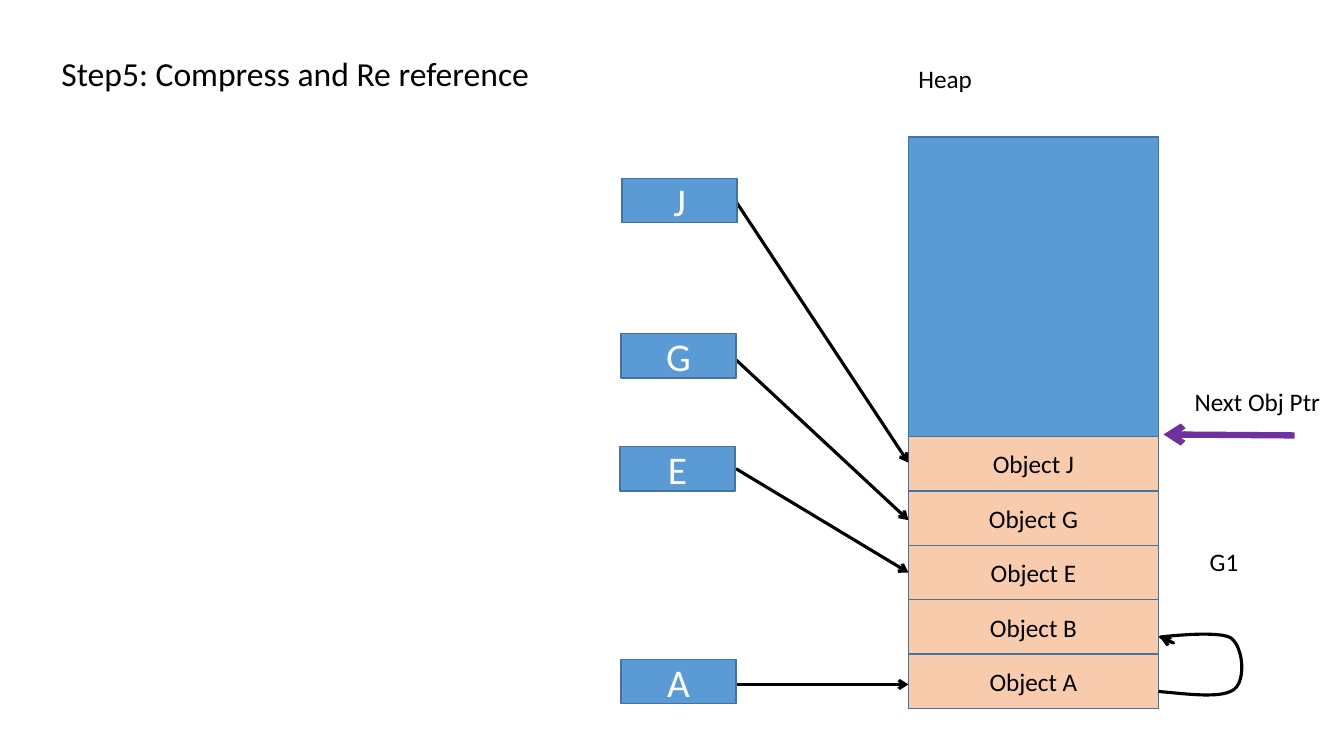
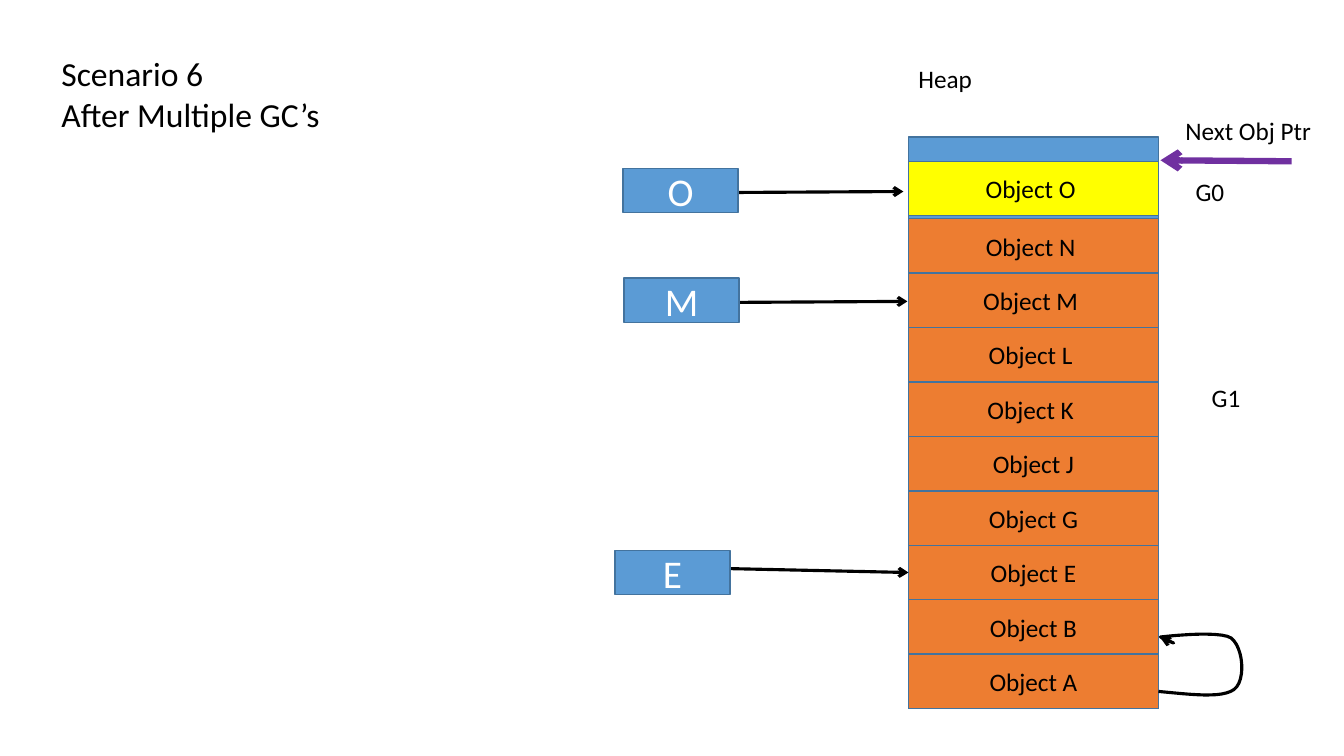
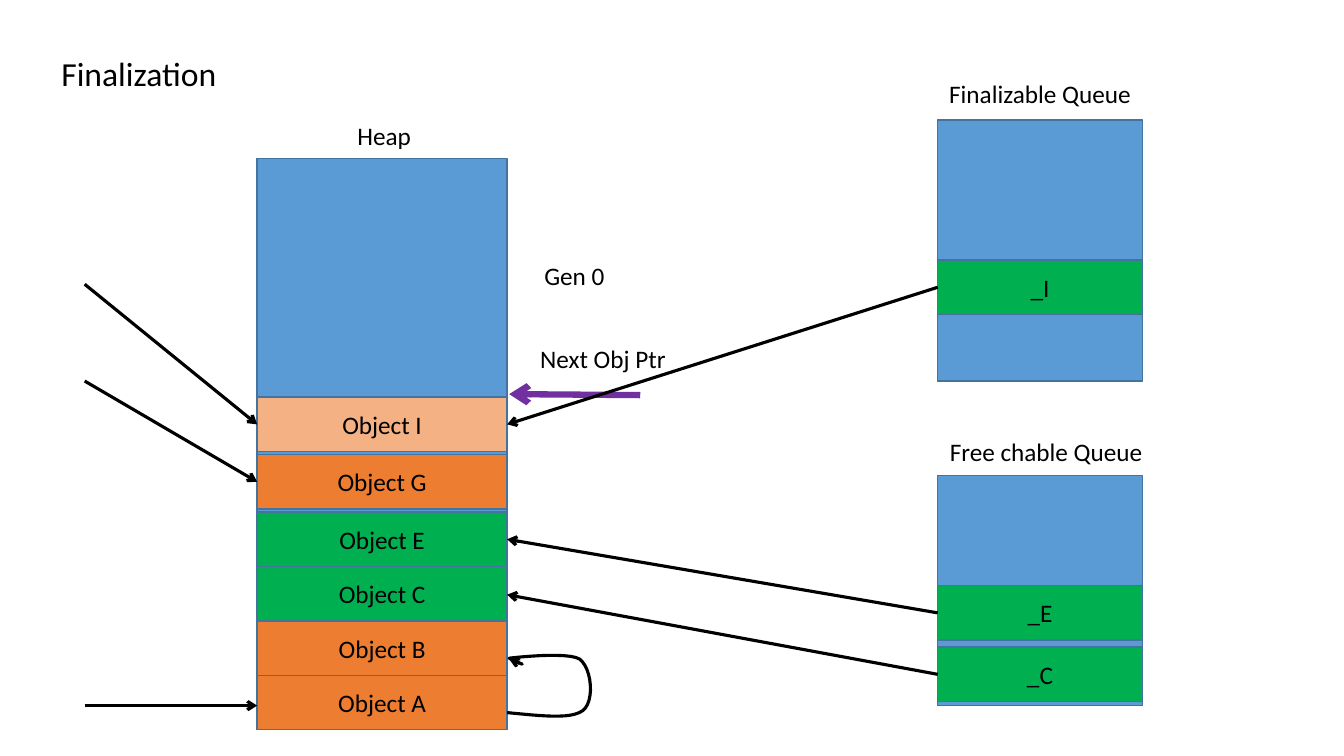
"""Three slides on garbage collection: compression, generations and finalization."""
from lxml import etree
from pptx import Presentation
from pptx.dml.color import RGBColor
from pptx.enum.shapes import MSO_CONNECTOR, MSO_SHAPE
from pptx.enum.text import MSO_ANCHOR, PP_ALIGN
from pptx.oxml.ns import qn
from pptx.util import Inches, Pt

RECTANGLE = MSO_SHAPE.RECTANGLE
STRAIGHT = MSO_CONNECTOR.STRAIGHT
LEFT, CENTER = PP_ALIGN.LEFT, PP_ALIGN.CENTER
TOP, MIDDLE = MSO_ANCHOR.TOP, MSO_ANCHOR.MIDDLE

BLACK, WHITE, PURPLE = "000000", "FFFFFF", "7030A0"
BLUE, BLUE_EDGE = "5B9BD5", "43739E"
PEACH, APRICOT, ORANGE = "F8CBAD", "F4B183", "ED7D31"
YELLOW, GREEN = "FFFF00", "00B050"
FONT = "Calibri"

COLUMN = ROW = Inches(1)
CELL_HEIGHT = 0.54
LABEL_HEIGHT = 0.4
ROOT_WIDTH, ROOT_HEIGHT = 1.14, 0.44
HEAP_WIDTH, HEAP_HEIGHT = 2.48, 5.67
QUEUE_LEFT, QUEUE_WIDTH = 9.3, 2.03
POINTER_LENGTH = 1.3

# Curves of the self reference, measured from the lower right corner of the heap.
LOOP_START = (0, -0.17)
LOOP_CURVES = [
    [(0.32, -0.14), (0.63, -0.1), (0.75, -0.19)],
    [(0.87, -0.28), (0.84, -0.61), (0.72, -0.7)],
    [(0.6, -0.78), (0.02, -0.71), (0.02, -0.71)],
]
LOOP_TIP = [(0.15, -0.65), (0.02, -0.7)]
CURVE_STEPS = 12

PAGES = [
    {
        "title": ["Step5: Compress and Re reference"],
        "heap": (9.01, 1.36),
        "cells": [(f"Object {name}", PEACH, 0) for name in "ABEGJ"],
        "queues": [],
        "roots": [("A", 6.16, 6.54), ("E", 6.15, 4.43), ("G", 6.16, 3.31), ("J", 6.17, 1.77)],
        "arrows": [(7.3, 6.79, 9.01, 6.79), (7.3, 4.65, 9.01, 5.68),
                   (7.3, 3.57, 9.01, 5.16), (7.3, 2, 9.01, 4.59)],
        "pointer": (11.54, 4.31),
        "labels": [("Heap", 9.01, 0.58, HEAP_WIDTH, LEFT), ("Next Obj Ptr", 11.75, 3.78, 1.5, LEFT),
                   ("G1", 11.9, 5.37, 0.6, LEFT)],
    },
    {
        "title": ["Scenario 6", "After Multiple GC’s"],
        "heap": (9.01, 1.36),
        "cells": [(f"Object {name}", ORANGE, 0) for name in "ABEGJ"]
        + [(f"Object {name} ", ORANGE, 0) for name in "KLMN"]
        + [("Object O ", YELLOW, 0.03)],
        "queues": [],
        "roots": [("E", 6.1, 5.46), ("M", 6.19, 2.76), ("O", 6.18, 1.67)],
        "arrows": [(7.18, 5.64, 9.01, 5.68), (7.28, 3, 9, 2.99), (7.24, 1.91, 8.96, 1.9)],
        "pointer": (11.51, 1.59),
        "labels": [("Heap", 9.01, 0.58, HEAP_WIDTH, LEFT), ("Next Obj Ptr", 11.66, 1.09, 1.5, LEFT),
                   ("G1", 11.92, 3.74, 0.6, LEFT), ("G0", 11.76, 1.7, 0.6, LEFT)],
    },
    {
        "title": ["Finalization"],
        "heap": (2.55, 1.57),
        "cells": [("Object A", ORANGE, 0), ("Object B", ORANGE, 0), ("Object C", GREEN, 0),
                  ("Object E", GREEN, 0), ("Object G", ORANGE, 0.03), ("Object I", APRICOT, 0.03)],
        "queues": [(1.19, 2.59, [("_I", GREEN, 0.66)]),
                   (4.72, 2.28, [("_C", GREEN, 0.04), ("_E", GREEN, 0.07)])],
        "roots": [],
        "arrows": [(0.84, 7, 2.55, 7), (0.84, 3.78, 2.55, 4.78), (0.84, 2.82, 2.55, 4.21),
                   (9.3, 6.69, 5.03, 5.9), (9.3, 6.08, 5.03, 5.35), (9.3, 2.85, 5.03, 4.21)],
        "pointer": (5.05, 3.91),
        "labels": [("Heap", 2.57, 1.14, HEAP_WIDTH, CENTER), ("Next Obj Ptr", 5.26, 3.36, 1.5, LEFT),
                   ("Gen 0", 5.3, 2.53, 0.9, LEFT),
                   ("Finalizable Queue", QUEUE_LEFT, 0.73, QUEUE_WIDTH, CENTER),
                   ("Free chable Queue", QUEUE_LEFT, 4.28, 2.15, CENTER)],
    },
]


def add_box(page, place, lines, fill=None, size=18, color=BLACK, align=CENTER):
    left, top, width, height = place
    frame = (int(left * COLUMN), int(top * ROW), int(width * COLUMN), int(height * ROW))
    if fill:
        box = page.shapes.add_shape(RECTANGLE, *frame)
        box.shadow.inherit = False
        box.fill.solid()
        box.fill.fore_color.rgb = RGBColor.from_string(fill)
        box.line.color.rgb = RGBColor.from_string(BLUE_EDGE)
        box.line.width = Pt(1)
    else:
        box = page.shapes.add_textbox(*frame)
    box.text_frame.word_wrap = True
    box.text_frame.vertical_anchor = MIDDLE if fill else TOP
    for index, line in enumerate(lines):
        para = box.text_frame.add_paragraph() if index else box.text_frame.paragraphs[0]
        para.alignment = align
        span = para.add_run()
        span.text = line
        span.font.name = FONT
        span.font.size = Pt(size)
        span.font.color.rgb = RGBColor.from_string(color)


def make_arrow(stroke, color=BLACK, width=2.25):
    stroke.line.color.rgb = RGBColor.from_string(color)
    stroke.line.width = Pt(width)
    properties = stroke.element.spPr
    etree.SubElement(properties.find(qn("a:ln")), qn("a:tailEnd"), type="arrow")
    etree.SubElement(properties, qn("a:effectLst"))


deck = Presentation()
deck.slide_width = int(13.33 * COLUMN)
deck.slide_height = int(7.5 * ROW)

loop_points = [LOOP_START]
for curve in LOOP_CURVES:
    anchors = [loop_points[-1], *curve]
    for step in range(1, CURVE_STEPS + 1):
        t = step / CURVE_STEPS
        weights = [(1 - t) ** 3, 3 * t * (1 - t) ** 2, 3 * t ** 2 * (1 - t), t ** 3]
        loop_points.append(tuple(
            sum(weight * anchor[axis] for weight, anchor in zip(weights, anchors))
            for axis in (0, 1)))
loop_points += LOOP_TIP

for content in PAGES:
    page = deck.slides.add_slide(deck.slide_layouts[6])
    heap_left, heap_top = content["heap"]

    stacks = [(heap_left, heap_top, HEAP_WIDTH, HEAP_HEIGHT, content["cells"])]
    stacks += [(QUEUE_LEFT, top, QUEUE_WIDTH, height, cells)
               for top, height, cells in content["queues"]]
    for left, top, width, height, cells in stacks:
        add_box(page, (left, top, width, height), [], BLUE)
        cell_top = top + height
        for name, fill, gap in cells:
            cell_top -= CELL_HEIGHT + gap
            add_box(page, (left, cell_top, width, CELL_HEIGHT), [name], fill)

    title = content["title"]
    add_box(page, (0.51, 0.48, 5.22, 0.1 + 0.4 * len(title)), title, size=24, align=LEFT)
    for text, left, top, width, align in content["labels"]:
        add_box(page, (left, top, width, LABEL_HEIGHT), [text], align=align)

    tip_x, tip_y = content["pointer"]
    pointer = (tip_x + POINTER_LENGTH, tip_y + 0.01, tip_x, tip_y)
    strokes = [(pointer, PURPLE, 4.5)] + [(ends, BLACK, 2.25) for ends in content["arrows"]]
    for (start_x, start_y, end_x, end_y), color, width in strokes:
        arrow = page.shapes.add_connector(
            STRAIGHT, int(start_x * COLUMN), int(start_y * ROW), int(end_x * COLUMN), int(end_y * ROW))
        make_arrow(arrow, color, width)

    corner_x, corner_y = heap_left + HEAP_WIDTH, heap_top + HEAP_HEIGHT
    outline = [(int((corner_x + x) * COLUMN), int((corner_y + y) * ROW)) for x, y in loop_points]
    builder = page.shapes.build_freeform(*outline[0])
    builder.add_line_segments(outline[1:], close=False)
    loop = builder.convert_to_shape()
    loop.fill.background()
    make_arrow(loop)

    for name, left, top in content["roots"]:
        add_box(page, (left, top, ROOT_WIDTH, ROOT_HEIGHT), [name], BLUE, 28, WHITE)

deck.save("out.pptx")
